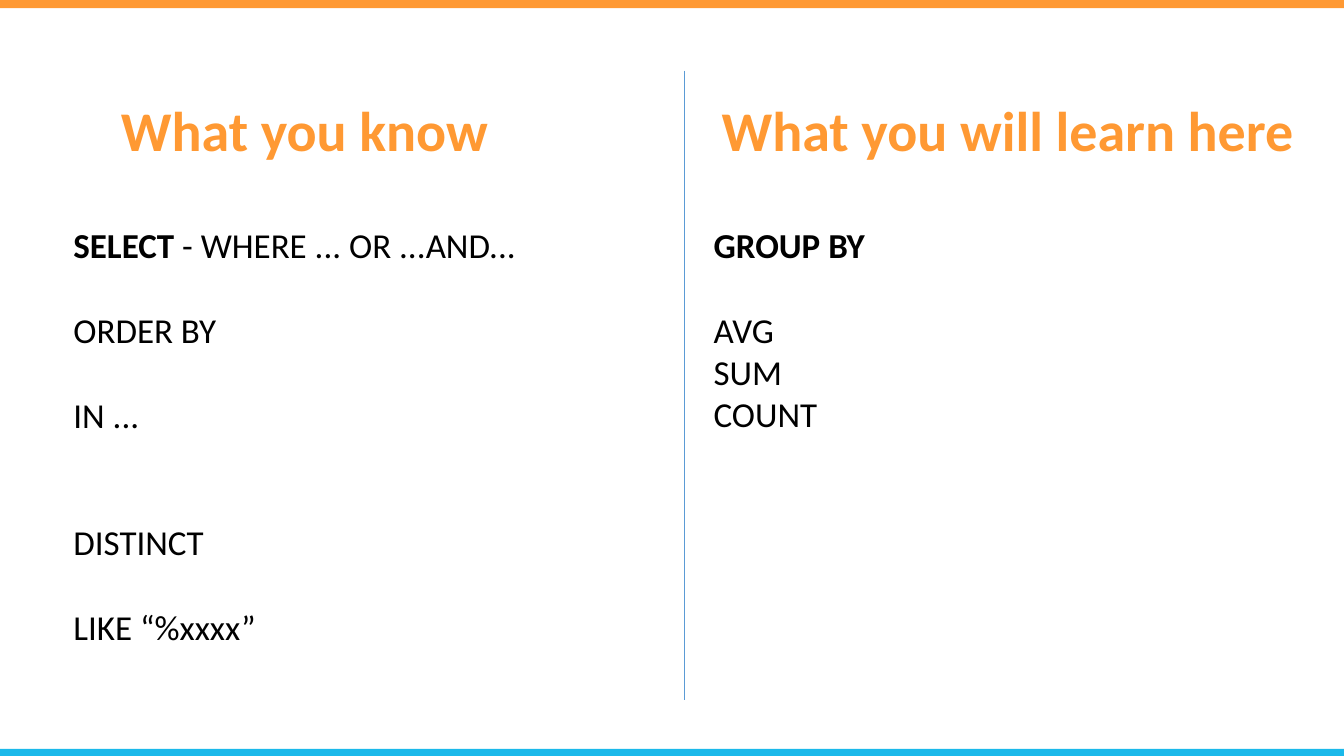
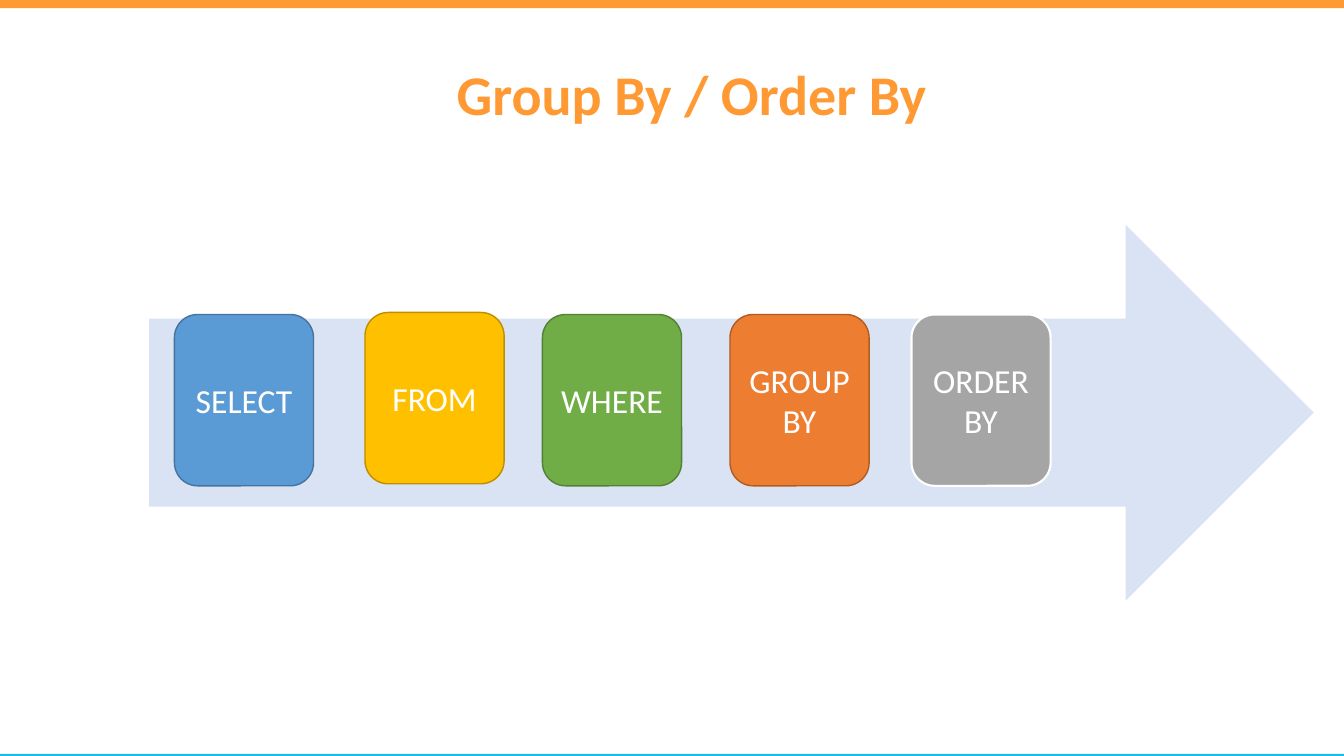
from dataclasses import dataclass

import pptx
import pptx.dml.color
import pptx.enum.shapes
import pptx.enum.text
import pptx.oxml.ns
import pptx.shapes.autoshape
import pptx.slide
import pptx.text.text
import pptx.util
from lxml import etree

Inches = pptx.util.Inches
Pt = pptx.util.Pt
Shape = pptx.enum.shapes.MSO_SHAPE
Anchor = pptx.enum.text.MSO_ANCHOR
Align = pptx.enum.text.PP_ALIGN

FONT = "Calibri"
SLIDE_WIDTH, SLIDE_HEIGHT = 13.33, 7.5
HEADING_SIZE, LIST_SIZE, STEP_SIZE = 40, 25, 24
LINE_PITCH = 1.22  # Calibri line height as a share of the font size
COLORS = {
    "heading": "FF9933", "footer": "1BB9EA", "text": "000000",
    "white": "FFFFFF", "divider": "5B9BD5", "arrow": "DAE3F3",
    "blue": "5B9BD5", "blue_edge": "43739E",
    "yellow": "FFC000", "yellow_edge": "BD8E00",
    "green": "70AD47", "green_edge": "538035",
    "orange": "ED7D31", "orange_edge": "AF5C24",
    "gray": "A5A5A5",
}


@dataclass(frozen=True)
class Box:
    left: float
    top: float
    width: float
    height: float

    def lengths(self) -> tuple[int, int, int, int]:
        return (Inches(self.left), Inches(self.top),
                Inches(self.width), Inches(self.height))


@dataclass(frozen=True)
class Keyword:
    strong: str = ""
    plain: str = ""
    lines_before: int = 0


@dataclass(frozen=True)
class Step:
    label: str
    left: float
    fill: str
    edge: str
    top: float = 3.12
    edge_width: float = 1


def rgb(name: str) -> pptx.dml.color.RGBColor:
    return pptx.dml.color.RGBColor.from_string(COLORS[name])


def style_run(run: pptx.text.text._Run, size: float, color: str,
              bold: bool = False) -> None:
    run.font.name = FONT
    run.font.size = Pt(size)
    run.font.bold = bold
    run.font.color.rgb = rgb(color)


def add_filled(slide: pptx.slide.Slide, kind: Shape, box: Box,
               fill: str) -> pptx.shapes.autoshape.Shape:
    shape = slide.shapes.add_shape(kind, *box.lengths())
    shape.shadow.inherit = False
    shape.fill.solid()
    shape.fill.fore_color.rgb = rgb(fill)
    shape.line.fill.background()
    return shape


def format_heading(heading: pptx.shapes.autoshape.Shape, text: str,
                   box: Box) -> None:
    heading.left, heading.top, heading.width, heading.height = box.lengths()
    frame = heading.text_frame
    frame.text = text
    frame.word_wrap = False
    frame.auto_size = pptx.enum.text.MSO_AUTO_SIZE.SHAPE_TO_FIT_TEXT
    frame.vertical_anchor = Anchor.TOP
    frame.paragraphs[0].alignment = Align.LEFT
    style_run(frame.paragraphs[0].runs[0], HEADING_SIZE, "heading", True)


def add_titled_slide(deck: pptx.presentation.Presentation, title: str,
                     title_box: Box, footer_top: float) -> pptx.slide.Slide:
    slide = deck.slides.add_slide(deck.slide_layouts[5])
    add_filled(slide, Shape.RECTANGLE, Box(0, 0, SLIDE_WIDTH, 0.08), "heading")
    add_filled(slide, Shape.RECTANGLE,
               Box(0, footer_top, SLIDE_WIDTH, 0.07), "footer")
    format_heading(slide.shapes.title, title, title_box)
    return slide


def add_keywords(slide: pptx.slide.Slide, box: Box,
                 keywords: list[Keyword]) -> None:
    frame = slide.shapes.add_textbox(*box.lengths()).text_frame
    frame.word_wrap = True
    for index, keyword in enumerate(keywords):
        paragraph = frame.add_paragraph() if index else frame.paragraphs[0]
        paragraph.space_before = Pt(
            keyword.lines_before * LIST_SIZE * LINE_PITCH)
        for text, bold in ((keyword.strong, True), (keyword.plain, False)):
            if text:
                run = paragraph.add_run()
                run.text = text
                style_run(run, LIST_SIZE, "text", bold)


def add_divider(slide: pptx.slide.Slide, x: float, top: float,
                bottom: float) -> None:
    divider = slide.shapes.add_connector(
        pptx.enum.shapes.MSO_CONNECTOR.STRAIGHT,
        Inches(x), Inches(top), Inches(x), Inches(bottom))
    divider.line.color.rgb = rgb("divider")
    divider.line.width = Pt(0.5)
    etree.SubElement(divider._element.spPr, pptx.oxml.ns.qn("a:effectLst"))


def add_step(slide: pptx.slide.Slide, step: Step) -> None:
    card = add_filled(slide, Shape.ROUNDED_RECTANGLE,
                      Box(step.left, step.top, 1.38, 1.7), step.fill)
    card.line.color.rgb = rgb(step.edge)
    card.line.width = Pt(step.edge_width)
    frame = card.text_frame
    frame.word_wrap = True
    frame.vertical_anchor = Anchor.MIDDLE
    frame.text = step.label
    frame.paragraphs[0].alignment = Align.CENTER
    for run in frame.paragraphs[0].runs:
        style_run(run, STEP_SIZE, "white")


deck = pptx.Presentation()
deck.slide_width = Inches(SLIDE_WIDTH)
deck.slide_height = Inches(SLIDE_HEIGHT)

# Slide 1: known and new keywords
overview = add_titled_slide(deck, "What you know",
                            Box(1.1, 0.9, 3.88, 0.77), 7.43)
add_keywords(overview, Box(0.63, 2.17, 5.58, 4.73), [
    Keyword("SELECT", " - WHERE ... OR ...AND..."),
    Keyword(plain="ORDER BY", lines_before=1),
    Keyword(plain="IN ...", lines_before=1),
    Keyword(plain="DISTINCT", lines_before=2),
    Keyword(plain="LIKE “%xxxx”", lines_before=1),
])
add_divider(overview, 6.79, 0.7, 6.94)
learn_box = Box(7.06, 0.9, 5.94, 0.77)
learn_heading = overview.shapes.add_textbox(*learn_box.lengths())
format_heading(learn_heading, "What you will learn here", learn_box)
add_keywords(overview, Box(6.98, 2.17, 5.58, 2.2), [
    Keyword("GROUP BY"),
    Keyword(plain="AVG", lines_before=1),
    Keyword(plain="SUM"),
    Keyword(plain="COUNT"),
])

# Slide 2: order of the query clauses
clauses = add_titled_slide(deck, "Group By / Order By",
                           Box(4.43, 0.54, 4.91, 0.77), 7.48)
add_filled(clauses, Shape.RIGHT_ARROW, Box(1.48, 2.23, 11.55, 3.73), "arrow")
STEPS = [
    Step("SELECT", 1.73, "blue", "blue_edge"),
    Step("FROM", 3.62, "yellow", "yellow_edge", top=3.1),
    Step("WHERE", 5.38, "green", "green_edge"),
    Step("GROUP BY", 7.24, "orange", "orange_edge"),
    Step("ORDER\vBY", 9.04, "gray", "white", edge_width=1.5),
]
for step in STEPS:
    add_step(clauses, step)

deck.save("out.pptx")
